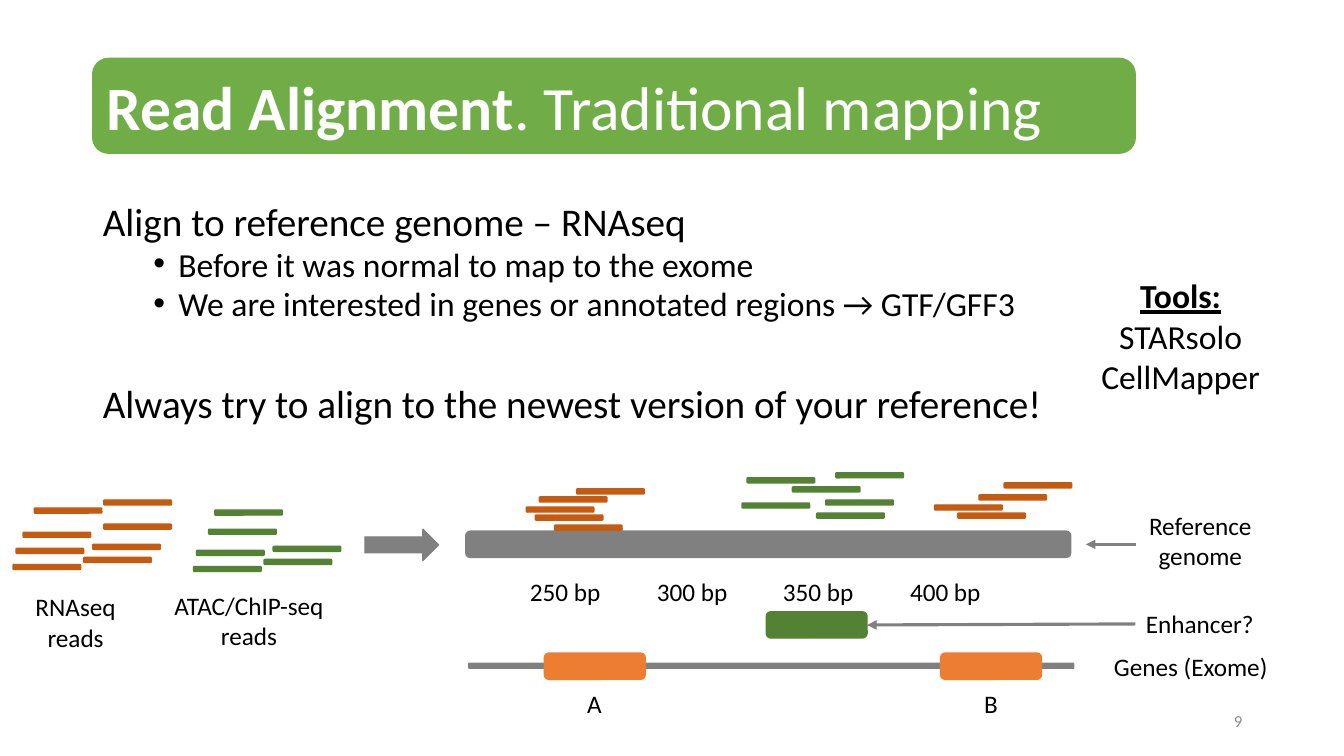
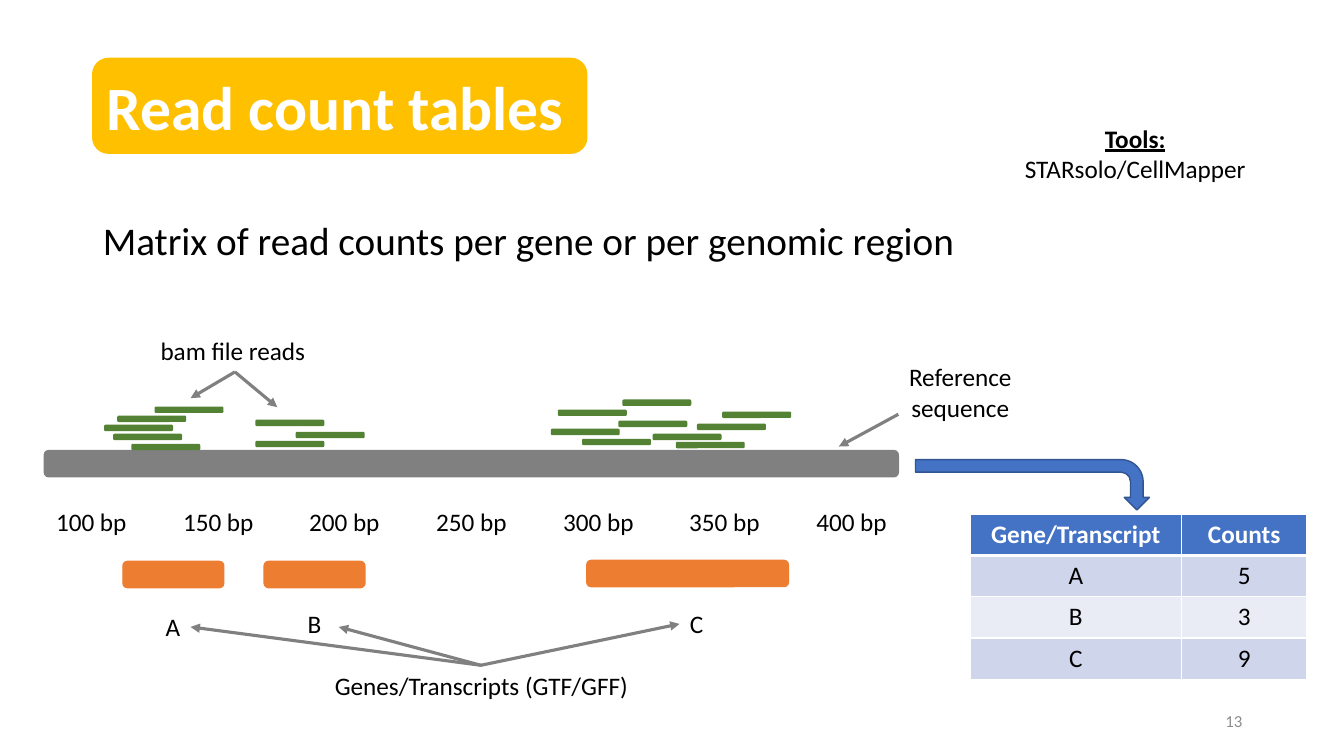
import dataclasses
import typing

import lxml.etree
import pptx
import pptx.dml.color
import pptx.enum.shapes
import pptx.enum.text
import pptx.oxml.ns
import pptx.util

Inches = pptx.util.Inches
Pt = pptx.util.Pt
SHAPE = pptx.enum.shapes.MSO_SHAPE
ALIGN = pptx.enum.text.PP_ALIGN
ANCHOR = pptx.enum.text.MSO_ANCHOR
qn = pptx.oxml.ns.qn

FONT = "Calibri"
COLORS = {
    "text": "000000",
    "white": "FFFFFF",
    "number": "8C8C8C",
    "gray": "808080",
    "rust": "C55A11",
    "green": "548235",
    "orange": "ED7D31",
    "blue": "4472C4",
    "blue_edge": "325491",
    "align_band": "70AD47",
    "count_band": "FFC000",
    "row_dark": "CFD5EA",
    "row_light": "E9EBF5",
}
READ_W, READ_H = 0.67, 0.05
BAR_H = 0.26
TICK_STEP = 1.257


@dataclasses.dataclass
class Run:
    text: str
    bold: bool = False
    underline: bool = False


@dataclasses.dataclass
class Bar:
    x: float
    y: float
    w: float
    color: str
    h: float = BAR_H


@dataclasses.dataclass
class Label:
    x: float
    y: float
    w: float
    lines: list[str]


@dataclasses.dataclass
class Arrow:
    x1: float
    y1: float
    x2: float
    y2: float


@dataclasses.dataclass
class BodyLine:
    text: str
    before: float = 0
    bullet: bool = False


Points = list[tuple[float, float]]


def rgb(name: str) -> pptx.dml.color.RGBColor:
    return pptx.dml.color.RGBColor.from_string(COLORS[name])


def add_run(p: typing.Any, run: Run, size: float, color: str = "text") -> None:
    r = p.add_run()
    r.text = run.text
    r.font.name = FONT
    r.font.size = Pt(size)
    r.font.bold = run.bold
    r.font.underline = run.underline
    r.font.color.rgb = rgb(color)


def place(sp: typing.Any, x: float, y: float, w: float, h: float) -> None:
    sp.left, sp.top, sp.width, sp.height = Inches(x), Inches(y), Inches(w), Inches(h)


def add_shape(s: typing.Any, kind: typing.Any, x: float, y: float, w: float, h: float,
              fill: str, edge: str | None = None) -> typing.Any:
    sp = s.shapes.add_shape(kind, Inches(x), Inches(y), Inches(w), Inches(h))
    sp.shadow.inherit = False
    sp.fill.solid()
    sp.fill.fore_color.rgb = rgb(fill)
    sp.line.color.rgb = rgb(edge or fill)
    sp.line.width = Pt(1)
    return sp


def add_bars(s: typing.Any, bars: list[Bar]) -> None:
    for bar in bars:
        add_shape(s, SHAPE.ROUNDED_RECTANGLE, bar.x, bar.y, bar.w, bar.h, bar.color)


def add_reads(s: typing.Any, color: str, points: Points) -> None:
    add_bars(s, [Bar(x, y, READ_W, color, READ_H) for x, y in points])


def add_text(s: typing.Any, x: float, y: float, w: float, h: float,
             lines: list[Run], size: float) -> None:
    tf = s.shapes.add_textbox(Inches(x), Inches(y), Inches(w), Inches(h)).text_frame
    tf.word_wrap = False
    for i, line in enumerate(lines):
        p = tf.add_paragraph() if i else tf.paragraphs[0]
        p.alignment = ALIGN.CENTER
        add_run(p, line, size)


def add_labels(s: typing.Any, labels: list[Label]) -> None:
    for label in labels:
        h = 0.1 + 0.3 * len(label.lines)
        add_text(s, label.x, label.y, label.w, h, [Run(t) for t in label.lines], 18)


def add_scale(s: typing.Any, x: float, y: float, positions: range) -> None:
    add_labels(s, [Label(round(x + i * TICK_STEP, 2), y, 0.91, [f"{bp} bp"])
                   for i, bp in enumerate(positions)])


def add_arrows(s: typing.Any, arrows: list[Arrow]) -> None:
    for a in arrows:
        cx = s.shapes.add_connector(pptx.enum.shapes.MSO_CONNECTOR.STRAIGHT,
                                    Inches(a.x1), Inches(a.y1), Inches(a.x2), Inches(a.y2))
        cx.line.color.rgb = rgb("gray")
        cx.line.width = Pt(2.25)
        spPr = cx._element.spPr
        lxml.etree.SubElement(spPr.find(qn("a:ln")), qn("a:tailEnd"), type="triangle")
        lxml.etree.SubElement(spPr, qn("a:effectLst"))


def add_body(s: typing.Any, h: float, spacing: float, lines: list[BodyLine]) -> None:
    sp = s.placeholders[1]
    place(sp, 0.92, 2, 11.5, h)
    tf = sp.text_frame
    tf.auto_size = pptx.enum.text.MSO_AUTO_SIZE.NONE
    for i, line in enumerate(lines):
        p = tf.add_paragraph() if i else tf.paragraphs[0]
        pPr = p._p.get_or_add_pPr()
        if line.bullet:
            p.level = 1
            pPr.set("marL", str(Inches(0.75)))
            pPr.set("indent", str(Inches(-0.25)))
            lxml.etree.SubElement(pPr, qn("a:buFont"), typeface="Arial")
            lxml.etree.SubElement(pPr, qn("a:buChar"), char="•")
        else:
            pPr.set("marL", "0")
            pPr.set("indent", "0")
            lxml.etree.SubElement(pPr, qn("a:buNone"))
        p.line_spacing = spacing
        p.space_before = Pt(line.before)
        add_run(p, Run(line.text), 24 if line.bullet else 28)


def add_slide(prs: typing.Any, band: str, band_w: float, title: list[Run],
              number: int) -> typing.Any:
    s = prs.slides.add_slide(prs.slide_layouts[1])
    sp = add_shape(s, SHAPE.ROUNDED_RECTANGLE, 0.92, 0.58, band_w, 0.94, band)
    tree = s.shapes._spTree
    tree.remove(sp._element)
    tree.insert(2, sp._element)
    place(s.shapes.title, 0.96, 0.58, band_w, 0.94)
    tf = s.shapes.title.text_frame
    tf.auto_size = pptx.enum.text.MSO_AUTO_SIZE.NONE
    tf.vertical_anchor = ANCHOR.MIDDLE
    tf.word_wrap = False
    p = tf.paragraphs[0]
    p.alignment = ALIGN.LEFT
    for run in title:
        add_run(p, run, 44, "white")
    tf = s.shapes.add_textbox(Inches(9.42), Inches(6.95), Inches(3), Inches(0.4)).text_frame
    tf.word_wrap = True
    tf.vertical_anchor = ANCHOR.MIDDLE
    p = tf.paragraphs[0]
    p.alignment = ALIGN.RIGHT
    add_run(p, Run(str(number)), 12, "number")
    return s


def set_borders(cell: typing.Any, bottom: float) -> None:
    tcPr = cell._tc.get_or_add_tcPr()
    for side, width in (("L", 1), ("R", 1), ("T", 1), ("B", bottom)):
        ln = lxml.etree.SubElement(tcPr, qn(f"a:ln{side}"), w=str(Pt(width)))
        fill = lxml.etree.SubElement(ln, qn("a:solidFill"))
        lxml.etree.SubElement(fill, qn("a:srgbClr"), val=COLORS["white"])


def add_count_table(s: typing.Any, rows: list[tuple[str, str]]) -> None:
    row_h = 0.41
    tbl = s.shapes.add_table(len(rows), 2, Inches(9.62), Inches(5.1),
                             Inches(3.34), Inches(row_h * len(rows))).table
    for col, width in zip(tbl.columns, (2.1, 1.24)):
        col.width = Inches(width)
    for i, row in enumerate(rows):
        tbl.rows[i].height = Inches(row_h)
        header = i == 0
        fill = "blue" if header else "row_dark" if i % 2 else "row_light"
        for j, text in enumerate(row):
            cell = tbl.cell(i, j)
            set_borders(cell, 3 if header else 1)
            cell.fill.solid()
            cell.fill.fore_color.rgb = rgb(fill)
            p = cell.text_frame.paragraphs[0]
            p.alignment = ALIGN.CENTER
            add_run(p, Run(text, bold=header), 18, "white" if header else "text")


def build_alignment(prs: typing.Any) -> None:
    s = add_slide(prs, "align_band", 10.34,
                  [Run("Read Alignment", bold=True), Run(". Traditional mapping")], 9)
    add_body(s, 2.45, 0.8, [
        BodyLine("Align to reference genome – RNAseq"),
        BodyLine("Before it was normal to map to the exome", 5, True),
        BodyLine("We are interested in genes or annotated regions → GTF/GFF3", 5, True),
        BodyLine("Always try to align to the newest version of your reference!", 47),
    ])
    add_bars(s, [
        Bar(4.65, 6.58, 6, "gray", READ_H), Bar(4.62, 5.27, 6, "gray"),
        Bar(5.4, 6.48, 1, "orange"), Bar(9.33, 6.48, 1, "orange"), Bar(7.6, 6.07, 1, "green"),
    ])
    add_reads(s, "rust", [
        (0.83, 5.53), (0.16, 5.44), (0.13, 5.6), (1.03, 4.96), (0.92, 5.4), (0.23, 5.28),
        (1.03, 5.2), (0.34, 5.04),
        (5.22, 5.03), (5.35, 4.93), (5.31, 5.11), (5.5, 5.21), (5.72, 4.85),
        (9.27, 5.01), (9.96, 4.79), (9.71, 4.91), (9.5, 5.09),
    ])
    add_reads(s, "green", [
        (2.62, 5.55), (1.95, 5.46), (1.92, 5.62), (2.07, 5.25), (2.71, 5.42), (2.13, 5.06),
        (8.1, 5.09), (7.36, 4.99), (7.41, 4.74), (7.86, 4.83), (8.19, 4.96), (8.29, 4.69),
    ])
    add_scale(s, 5.15, 5.67, range(250, 401, 50))
    add_labels(s, [
        Label(0.22, 5.82, 1.06, ["RNAseq", "reads"]),
        Label(1.62, 5.81, 1.7, ["ATAC/ChIP-seq", "reads"]),
        Label(11.29, 5.01, 1.23, ["Reference", "genome"]),
        Label(10.94, 6.41, 1.74, ["Genes (Exome)"]),
        Label(11.26, 5.99, 1.28, ["Enhancer?"]),
        Label(5.72, 6.78, 0.35, ["A"]), Label(9.66, 6.78, 0.34, ["B"]),
    ])
    add_arrows(s, [Arrow(11.27, 5.4, 10.77, 5.4), Arrow(11.26, 6.19, 8.6, 6.2)])
    add_shape(s, SHAPE.RIGHT_ARROW, 3.62, 5.25, 0.73, 0.31, "gray")
    add_text(s, 10.66, 2.68, 2.1, 1.31,
             [Run("Tools:", True, True), Run("STARsolo"), Run("CellMapper")], 24)


def build_counts(prs: typing.Any) -> None:
    s = add_slide(prs, "count_band", 4.9, [Run("Read count tables", bold=True)], 13)
    add_body(s, 1.05, 1.2, [BodyLine("Matrix of read counts per gene or per genomic region")])
    add_count_table(s, [("Gene/Transcript", "Counts"), ("A", "5"), ("B", "3"), ("C", "9")])
    add_bars(s, [
        Bar(0.44, 4.47, 8.47, "gray"), Bar(1.22, 5.57, 1, "orange"),
        Bar(2.62, 5.57, 1, "orange"), Bar(5.82, 5.56, 2, "orange"),
    ])
    add_reads(s, "green", [
        (1.04, 4.22), (1.17, 4.13), (1.13, 4.31), (1.31, 4.41), (1.54, 4.04),
        (2.54, 4.38), (2.94, 4.29), (2.54, 4.17),
        (5.78, 4.36), (6.48, 4.31), (6.18, 3.97), (5.54, 4.07), (7.17, 4.09),
        (5.47, 4.26), (6.14, 4.18), (6.92, 4.21), (6.71, 4.39),
    ])
    add_scale(s, 0.45, 4.97, range(100, 401, 50))
    add_labels(s, [
        Label(8.91, 3.54, 1.23, ["Reference", "sequence"]),
        Label(3.2, 6.6, 3.15, ["Genes/Transcripts (GTF/GFF)"]),
        Label(1.54, 6.02, 0.35, ["A"]), Label(2.95, 5.99, 0.34, ["B"]),
        Label(6.74, 5.99, 0.34, ["C"]), Label(1.48, 3.28, 1.66, ["bam file reads"]),
    ])
    add_arrows(s, [Arrow(2.33, 3.69, x, y) for x, y in ((2.75, 4.04), (1.89, 3.95))])
    add_arrows(s, [Arrow(8.91, 4.11, 8.32, 4.43)])
    add_arrows(s, [Arrow(4.77, 6.6, x, y) for x, y in ((1.89, 6.22), (3.36, 6.22), (6.74, 6.19))])
    sp = add_shape(s, SHAPE.BENT_ARROW, 9.99, 3.65, 0.5, 2.32, "blue", "blue_edge")
    sp.rotation = 90
    add_text(s, 9.91, 1.17, 2.7, 0.71,
             [Run("Tools:", True, True), Run("STARsolo/CellMapper")], 18)


def main() -> None:
    prs = pptx.Presentation()
    prs.slide_width, prs.slide_height = Inches(13.33), Inches(7.5)
    build_alignment(prs)
    build_counts(prs)
    prs.save("out.pptx")


if __name__ == "__main__":
    main()
